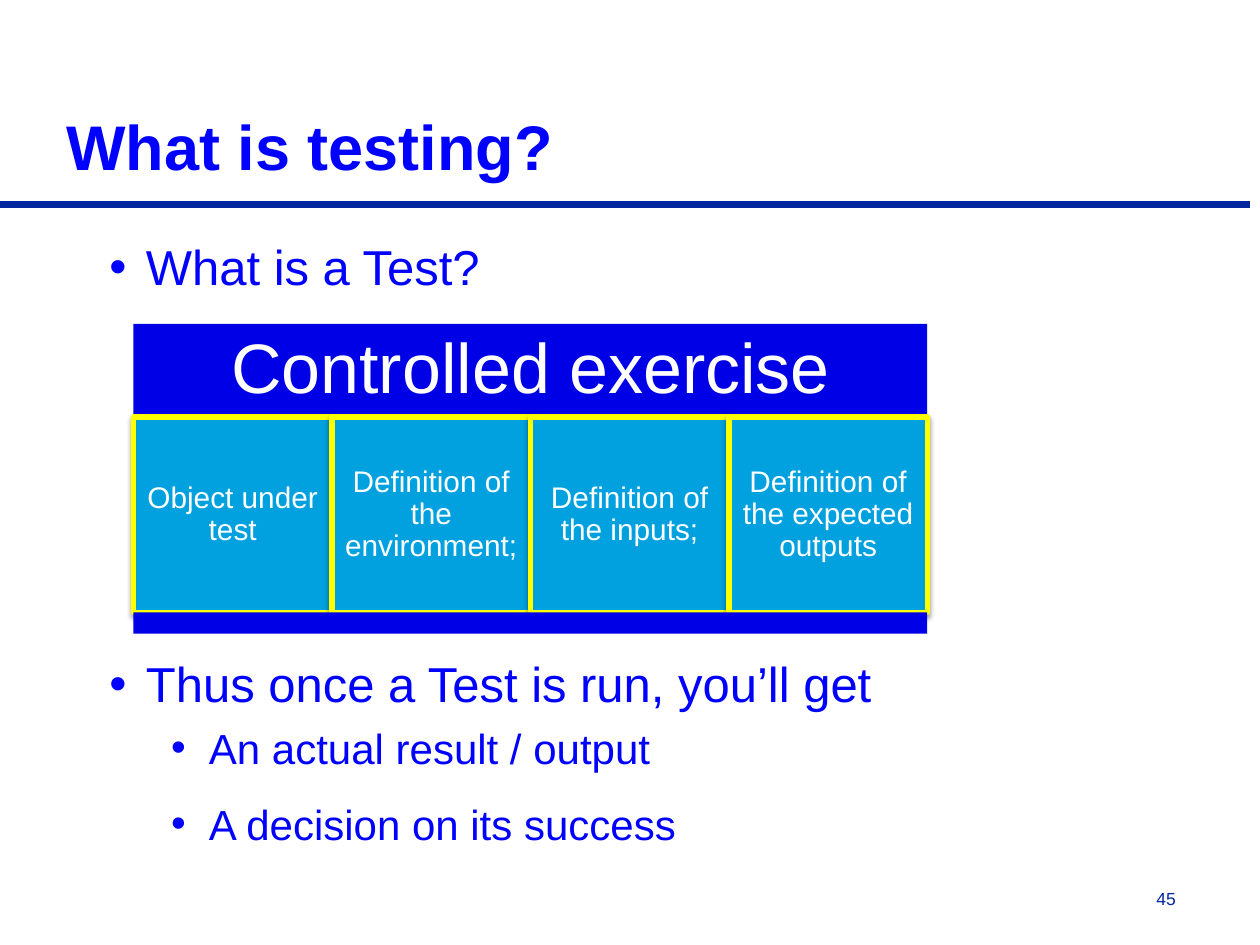
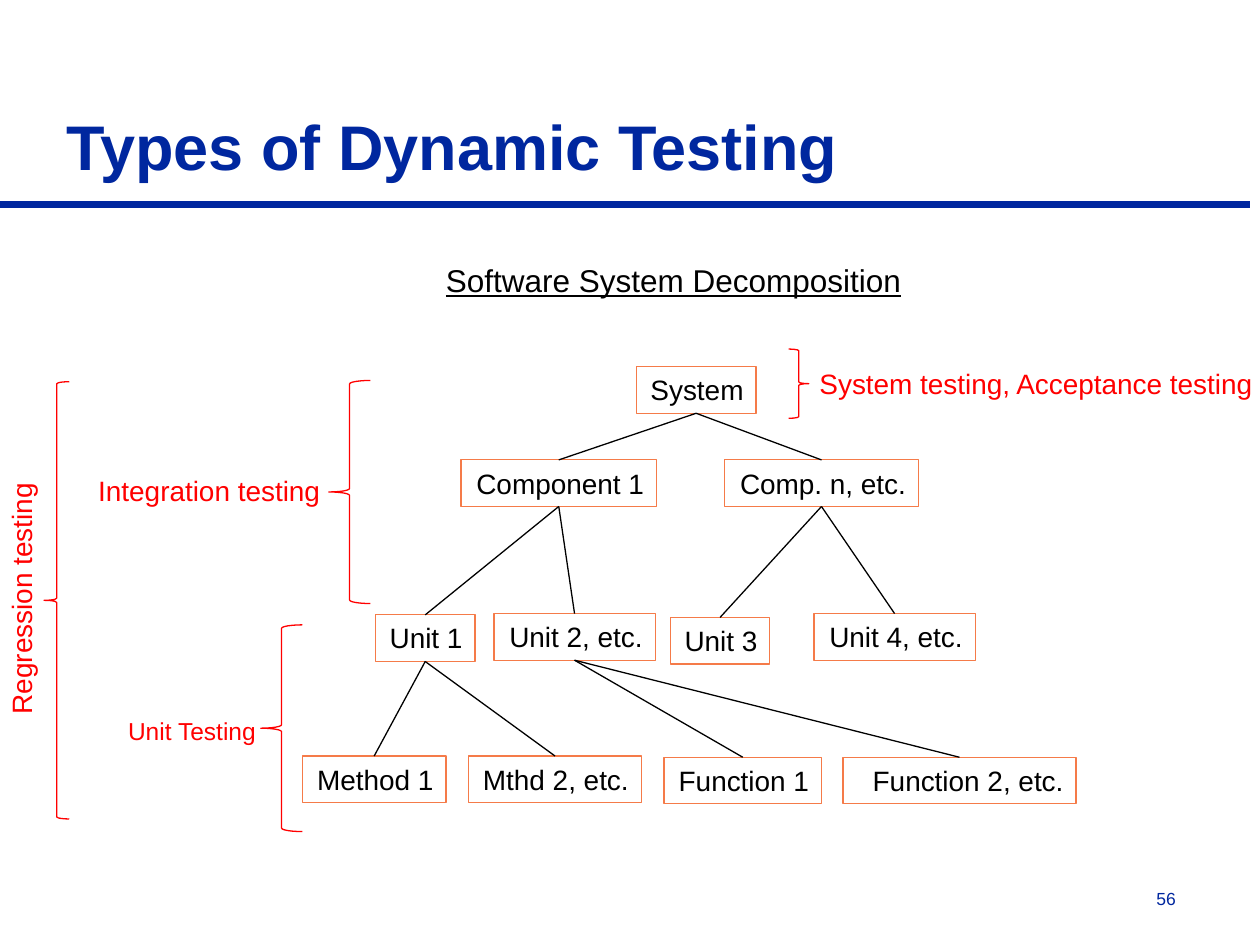
"""Build two slides on software testing: what a test is, and the types of dynamic testing."""
from pptx import Presentation
from pptx.dml.color import RGBColor
from pptx.enum.shapes import MSO_CONNECTOR as LINK, MSO_SHAPE as SHAPE
from pptx.enum.text import MSO_ANCHOR as ANCHOR, MSO_AUTO_SIZE as FIT, PP_ALIGN as ALIGN
from pptx.oxml.xmlchemy import OxmlElement
from pptx.util import Emu, Inches, Pt

COLS, ROWS = 100, 75
NAVY, BLUE, DEEP, SKY = "00279F", "0000FF", "0000E7", "00A1DE"
WHITE, BLACK, RED, YELLOW, ORANGE = "FFFFFF", "000000", "FF0000", "FFFF00", "F57B49"


def rgb(value):
    return RGBColor.from_string(value)


def add_xml(parent, tag, **attrs):
    el = OxmlElement(tag)
    for name, value in attrs.items():
        el.set(name, str(value))
    parent.append(el)
    return el


class Deck:
    font = "Arial"

    def __init__(self):
        self.prs = Presentation()
        self.prs.slide_width, self.prs.slide_height = Inches(10), Inches(7.5)
        self.s = None

    def box(self, x, y, w, h):
        cw, rh = self.prs.slide_width / COLS, self.prs.slide_height / ROWS
        return [Emu(round(v)) for v in (x * cw, y * rh, w * cw, h * rh)]

    def slide(self, title, number, color=NAVY):
        self.s = self.prs.slides.add_slide(self.prs.slide_layouts[6])
        x, y, w, _ = self.box(0, 16.2, 99.2, 0)
        rule = self.s.shapes.add_connector(LINK.STRAIGHT, x, y, w, y)
        self.stroke(rule, NAVY, 4)
        self.text(number, 89.4, 70, 4.9, 2.7, 10, NAVY, align=ALIGN.RIGHT)
        heading = self.text(title, 4.3, 2.9, 89.1, 12.1, 36, color, anchor=ANCHOR.BOTTOM)
        heading.text_frame.paragraphs[0].runs[0].font.bold = True

    def stroke(self, sp, color, width):
        sp.line.color.rgb = rgb(color)
        sp.line.width = Pt(width)
        if sp in self.s.shapes and hasattr(sp, "begin_x"):
            add_xml(sp._element.spPr, "a:effectLst")

    def style(self, p, size, color, align=None):
        p.alignment = align
        for r in p.runs:
            r.font.name, r.font.size = self.font, Pt(size)
            r.font.color.rgb = rgb(color)

    def text(self, text, x, y, w, h, size, color, align=ALIGN.LEFT,
             anchor=ANCHOR.TOP, wrap=True):
        sp = self.s.shapes.add_textbox(*self.box(x, y, w, h))
        self.fill_text(sp, text, size, color, align, anchor, wrap)
        return sp

    def fill_text(self, sp, text, size, color, align, anchor, wrap=True):
        tf = sp.text_frame
        tf.text = text
        tf.word_wrap, tf.vertical_anchor = wrap, anchor
        if not wrap:
            tf.auto_size = FIT.SHAPE_TO_FIT_TEXT
        self.style(tf.paragraphs[0], size, color, align)

    def shape(self, kind, x, y, w, h, fill=None, line=None, width=0.75):
        sp = self.s.shapes.add_shape(kind, *self.box(x, y, w, h))
        sp.shadow.inherit = False
        if fill:
            sp.fill.solid()
            sp.fill.fore_color.rgb = rgb(fill)
        else:
            sp.fill.background()
        if line:
            self.stroke(sp, line, width)
        else:
            sp.line.fill.background()
        return sp

    def panel(self, text, x, y, w, h, size, inset, fill, line=None):
        sp = self.shape(SHAPE.RECTANGLE, x, y, w, h, fill, line, 3)
        self.fill_text(sp, text, size, WHITE, ALIGN.CENTER, ANCHOR.MIDDLE)
        tf = sp.text_frame
        tf.margin_left = tf.margin_right = tf.margin_top = tf.margin_bottom = Inches(inset)
        tf.paragraphs[0].line_spacing = 0.9
        return sp

    def drop_shadow(self, sp):
        effects = sp._element.spPr.find("{*}effectLst")
        shadow = add_xml(effects, "a:outerShdw", blurRad=Pt(3.1), dist=Pt(1.6),
                         dir=5400000, rotWithShape=0)
        add_xml(add_xml(shadow, "a:srgbClr", val=BLACK), "a:alpha", val=38000)

    def bullets(self, items, x, y, w, h):
        sp = self.s.shapes.add_textbox(*self.box(x, y, w, h))
        tf = sp.text_frame
        tf.word_wrap = True
        for i, (level, text) in enumerate(items):
            p = tf.add_paragraph() if i else tf.paragraphs[0]
            p.text, p.level = text, level
            if level:
                p.space_before, p.space_after = Pt(5.5), Pt(9)
            left, hang = ((0.29, 0.29), (0.79, 0.3))[level]
            pPr = p._p.get_or_add_pPr()
            pPr.set("marL", str(Inches(left)))
            pPr.set("indent", str(-Inches(hang)))
            add_xml(add_xml(pPr, "a:buClr"), "a:srgbClr", val=BLUE)
            add_xml(pPr, "a:buFont", typeface=self.font)
            add_xml(pPr, "a:buChar", char="•")
            self.style(p, (28, 24)[level], BLUE)

    def node(self, text, x, y, w, wrap=False):
        sp = self.shape(SHAPE.RECTANGLE, x, y, w, 3.7, line=ORANGE)
        self.fill_text(sp, text, 16, BLACK, ALIGN.RIGHT, ANCHOR.TOP, wrap)
        return sp

    def link(self, parent, child):
        cn = self.s.shapes.add_connector(LINK.STRAIGHT, 0, 0, 0, 0)
        cn.begin_connect(parent, 2)
        cn.end_connect(child, 0)
        self.stroke(cn, BLACK, 0.75)

    def label(self, text, x, y, w, size=16, color=RED):
        return self.text(text, x, y, w, 3.7, size, color, ALIGN.RIGHT, wrap=False)


def what_is_testing(deck):
    deck.slide("What is testing?", "45", BLUE)
    deck.bullets([(0, "What is a Test?")], 7.7, 18.3, 86.9, 6)
    deck.bullets([(0, "Thus once a Test is run, you’ll get"),
                  (1, "An actual result / output"),
                  (1, "A decision on its success")], 7.7, 51.4, 86.9, 18.4)
    left, width = 10.6, 63
    deck.panel("Controlled exercise", left, 25.7, width, 7.4, 40, 0.17, DEEP)
    parts = ("Object under test", "Definition of the environment;",
             "Definition of the inputs;", "Definition of the expected outputs")
    step = width / len(parts)
    for i, part in enumerate(parts):
        card = deck.panel(part, left + i * step, 33.1, step, 15.5, 17, 0.07, SKY, YELLOW)
        deck.drop_shadow(card)
    deck.shape(SHAPE.RECTANGLE, left, 48.6, width, 1.7, DEEP)


def dynamic_testing(deck):
    deck.slide("Types of Dynamic Testing", "56")
    heading = deck.label("Software System Decomposition", 34, 20.2, 38.5, 18, BLACK)
    heading.text_frame.paragraphs[0].runs[0].font.underline = True
    tree = (("System", 50.5, 29.1, 9.5, None),
            ("Component 1", 36.6, 36.5, 15.5, "System"),
            ("Comp. n, etc.", 57.5, 36.5, 15.4, "System"),
            ("Unit 1", 29.8, 48.8, 7.9, "Component 1"),
            ("Unit 2, etc.", 39.2, 48.7, 12.8, "Component 1"),
            ("Unit 3", 53.2, 49, 7.9, "Comp. n, etc."),
            ("Unit 4, etc.", 64.6, 48.7, 12.8, "Comp. n, etc."),
            ("Method 1", 24, 60, 11.4, "Unit 1"),
            ("Mthd 2, etc.", 37.2, 60, 13.7, "Unit 1"),
            ("Function 1", 52.7, 60.1, 12.5, "Unit 2, etc."),
            ("Function 2, etc.", 66.9, 60.1, 18.5, "Unit 2, etc."))
    wrapped = ("Mthd 2, etc.", "Function 2, etc.")
    nodes = {}
    for name, x, y, w, parent in tree:
        nodes[name] = deck.node(name, x, y, w, name in wrapped)
        if parent:
            deck.link(nodes[parent], nodes[name])
    deck.label("Integration testing", 6.5, 37.1, 19.9)
    deck.label("Unit Testing", 9.1, 56.3, 12.2, 14)
    deck.label("System testing, Acceptance testing", 63.6, 28.6, 36.8)
    deck.label("Regression testing", -8.6, 45.8, 20.6).rotation = 270
    for kind, *place in ((SHAPE.LEFT_BRACE, 20.7, 49.6, 3.3, 16.4),
                         (SHAPE.LEFT_BRACE, 26.1, 30.2, 3.3, 17.7),
                         (SHAPE.RIGHT_BRACE, 62.6, 27.7, 1.6, 5.5),
                         (SHAPE.LEFT_BRACE, 3.5, 30.3, 2, 34.7)):
        deck.shape(kind, *place, line=RED)


def main():
    deck = Deck()
    what_is_testing(deck)
    dynamic_testing(deck)
    deck.prs.save("out.pptx")


if __name__ == "__main__":
    main()
